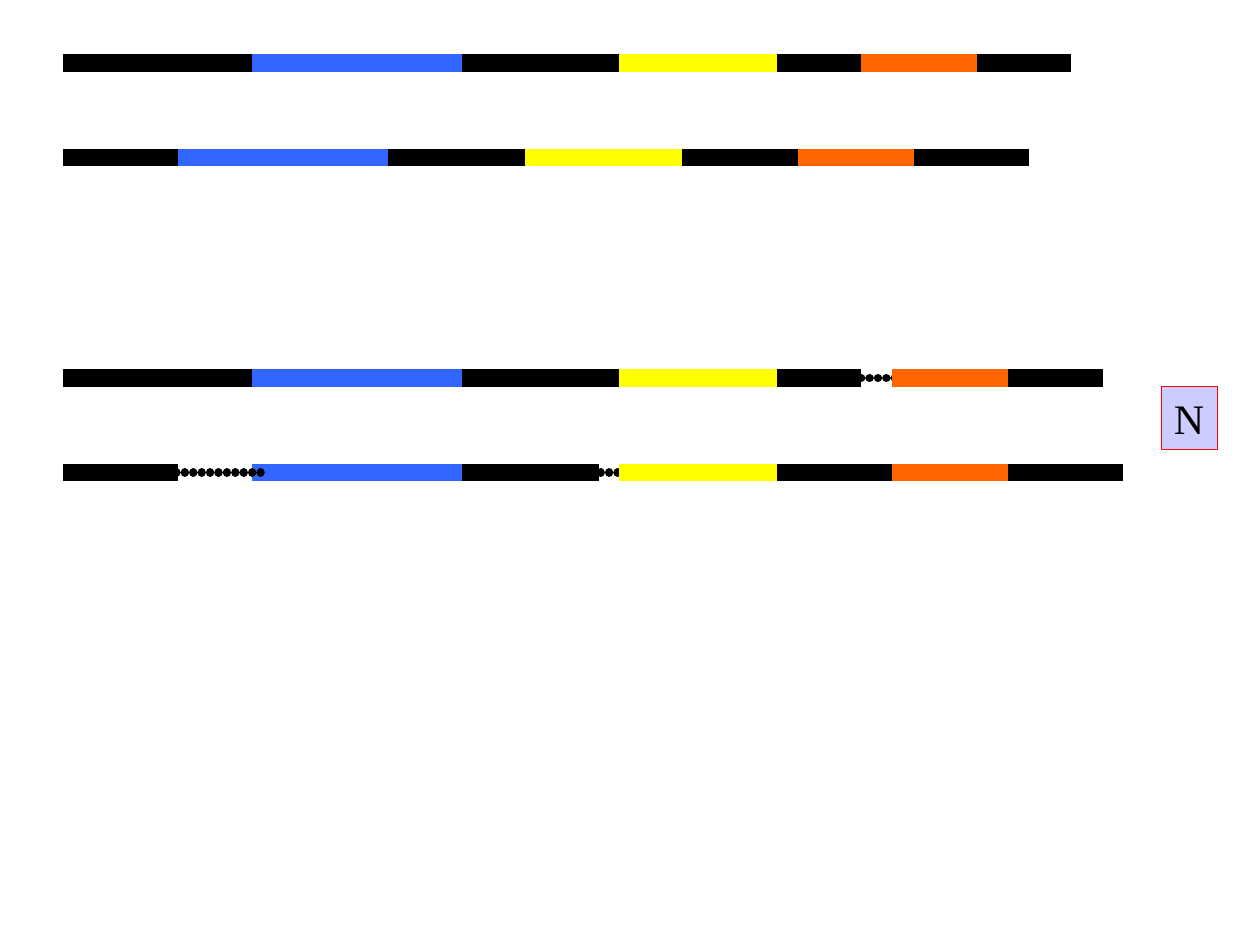
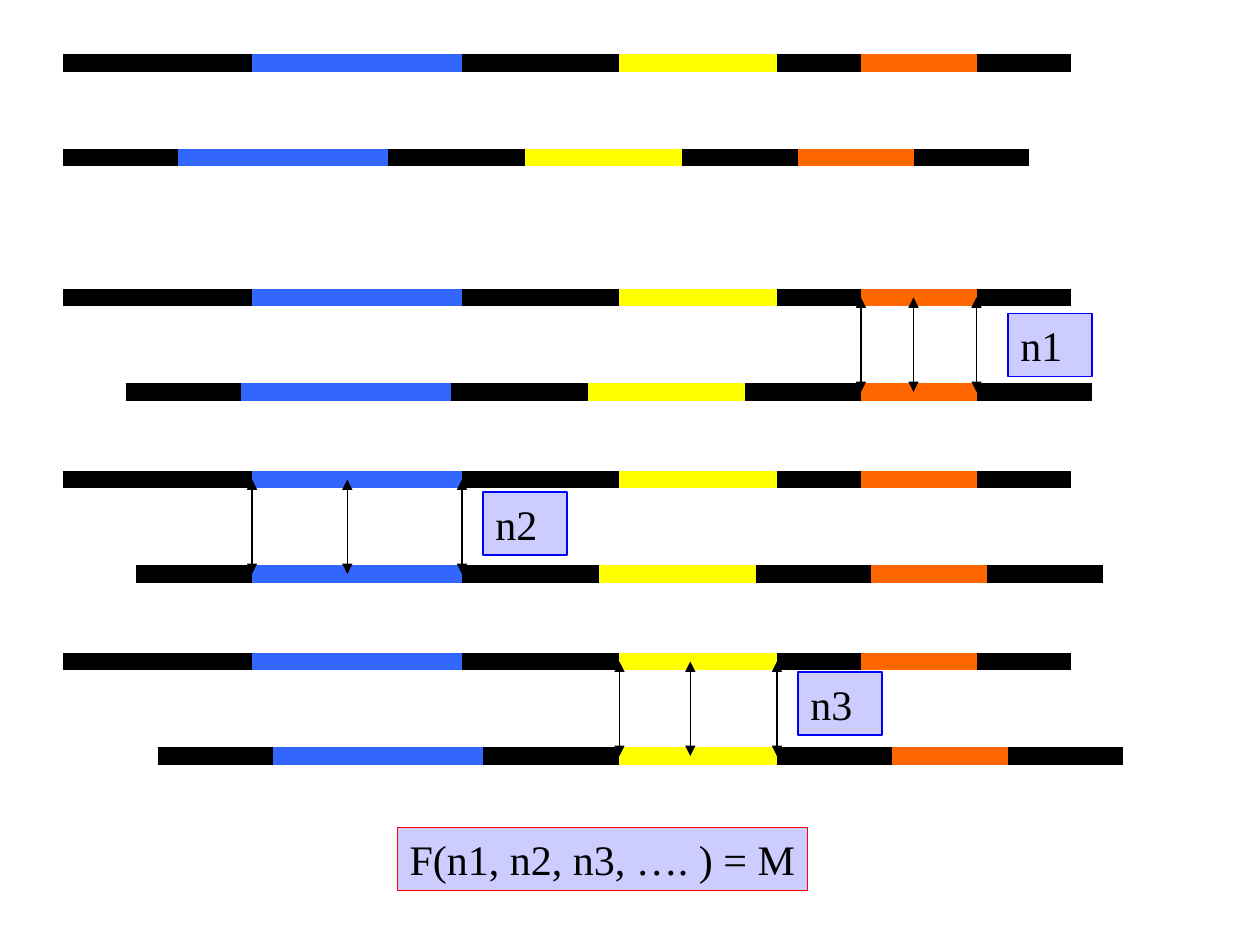
"""Build two slides that compare coloured blocks along aligned sequences."""
import dataclasses

import lxml.etree
import pptx
import pptx.dml.color
import pptx.enum.shapes
import pptx.enum.text
import pptx.oxml.ns
import pptx.util

Pt = pptx.util.Pt


@dataclasses.dataclass(frozen=True)
class Theme:
    black: str = "000000"
    blue: str = "3366FF"
    yellow: str = "FFFF00"
    orange: str = "FF6600"
    label_fill: str = "CCCCFF"
    count_border: str = "0000FF"
    result_border: str = "FF0000"
    font: str = "Times New Roman"
    text_size: float = 24
    bar_width: float = 10
    gap_width: float = 4.75
    thin_width: float = 0.75


THEME = Theme()
LEFT = 36
ROW_STEP = 54
LABEL_HEIGHT = 36
COLOURS = [THEME.black, THEME.blue, THEME.black, THEME.yellow,
           THEME.black, THEME.orange, THEME.black]
UPPER = [108, 120, 90, 90, 48, 66, 54]
LOWER = [66, 120, 78, 90, 66, 66, 66]


def rgb(colour):
    return pptx.dml.color.RGBColor.from_string(colour)


def block_start(lengths, colour):
    return LEFT + sum(lengths[:COLOURS.index(colour)])


class Sketch:
    def __init__(self, deck, theme):
        self.deck = deck
        self.theme = theme
        self.page = None
        self.shapes = None

    def new_page(self):
        self.page = self.deck.slides.add_slide(self.deck.slide_layouts[6])

    def new_group(self):
        self.shapes = self.page.shapes.add_group_shape().shapes

    def line(self, start, end, colour, width):
        connector = self.shapes.add_connector(
            pptx.enum.shapes.MSO_CONNECTOR.STRAIGHT,
            *(Pt(value) for value in (*start, *end)))
        connector.line.color.rgb = rgb(colour)
        connector.line.width = Pt(width)
        properties = connector.element.spPr
        lxml.etree.SubElement(properties, pptx.oxml.ns.qn("a:effectLst"))
        return properties.find(pptx.oxml.ns.qn("a:ln"))

    def sequence(self, lengths, top, left=LEFT, gaps=None):
        for index, (length, colour) in enumerate(zip(lengths, COLOURS)):
            left += (gaps or {}).get(index, 0)
            self.line((left, top), (left + length, top), colour, self.theme.bar_width)
            left += length

    def dotted_gap(self, left, right, top):
        outline = self.line((left, top), (right, top), self.theme.black, self.theme.gap_width)
        outline.set("cap", "rnd")
        dashes = lxml.etree.SubElement(outline, pptx.oxml.ns.qn("a:custDash"))
        lxml.etree.SubElement(dashes, pptx.oxml.ns.qn("a:ds"), d="100000", sp="1000")

    def match_arrow(self, left, top):
        outline = self.line((left, top), (left, top + ROW_STEP),
                            self.theme.black, self.theme.thin_width)
        for end in ("a:headEnd", "a:tailEnd"):
            lxml.etree.SubElement(outline, pptx.oxml.ns.qn(end), type="triangle")

    def label(self, text, left, top, width, border, wrap):
        box = self.page.shapes.add_shape(
            pptx.enum.shapes.MSO_SHAPE.RECTANGLE,
            Pt(left), Pt(top), Pt(width), Pt(LABEL_HEIGHT))
        box.shadow.inherit = False
        box.fill.solid()
        box.fill.fore_color.rgb = rgb(self.theme.label_fill)
        box.line.color.rgb = rgb(border)
        box.line.width = Pt(self.theme.thin_width)
        frame = box.text_frame
        frame.text = text
        frame.word_wrap = wrap
        frame.auto_size = pptx.enum.text.MSO_AUTO_SIZE.SHAPE_TO_FIT_TEXT
        frame.vertical_anchor = pptx.enum.text.MSO_ANCHOR.TOP
        para = frame.paragraphs[0]
        para.alignment = pptx.enum.text.PP_ALIGN.LEFT
        span = para.runs[0]
        span.font.name = self.theme.font
        span.font.size = Pt(self.theme.text_size)
        span.font.color.rgb = rgb(self.theme.black)

    def unaligned_pair(self):
        self.new_group()
        self.sequence(UPPER, LEFT)
        self.sequence(LOWER, LEFT + ROW_STEP + 0)

    def matched_pair(self, colour, top, middle):
        start = block_start(UPPER, colour)
        end = start + UPPER[COLOURS.index(colour)]
        shift = start - block_start(LOWER, colour)
        self.new_group()
        self.sequence(UPPER, top)
        self.sequence(LOWER, top + ROW_STEP, LEFT + shift)
        for left in (start, end, middle):
            self.match_arrow(left, top)


def gapped_slide(sketch):
    sketch.new_page()
    sketch.unaligned_pair()
    upper_top = 216
    lower_top = upper_top + ROW_STEP
    sketch.new_group()
    sketch.dotted_gap(468, 522, upper_top)
    sketch.dotted_gap(324, 360, lower_top)
    sketch.sequence(UPPER, upper_top, gaps={5: 18})
    sketch.sequence(LOWER, lower_top, gaps={1: 42, 3: 12})
    sketch.dotted_gap(96, 150, lower_top)
    sketch.label("N", 663.7, 221, 32, THEME.result_border, False)


def matched_slide(sketch):
    sketch.new_page()
    sketch.unaligned_pair()
    matches = [
        (THEME.orange, 522, "n1", 576, 179.2),
        (THEME.blue, 198.5, "n2", 276, 281.2),
        (THEME.yellow, 394.5, "n3", 456, 384),
    ]
    for index, (colour, middle, text, left, top) in enumerate(matches):
        sketch.matched_pair(colour, 170 + index * 104, middle)
        sketch.label(text, left, top, 48, THEME.count_border, True)
    sketch.label("F(n1, n2, n3, …. ) = M", 227, 473, 234.5, THEME.result_border, False)


def main():
    deck = pptx.Presentation()
    deck.slide_width, deck.slide_height = Pt(720), Pt(540)
    sketch = Sketch(deck, THEME)
    gapped_slide(sketch)
    matched_slide(sketch)
    deck.save("out.pptx")


if __name__ == "__main__":
    main()
